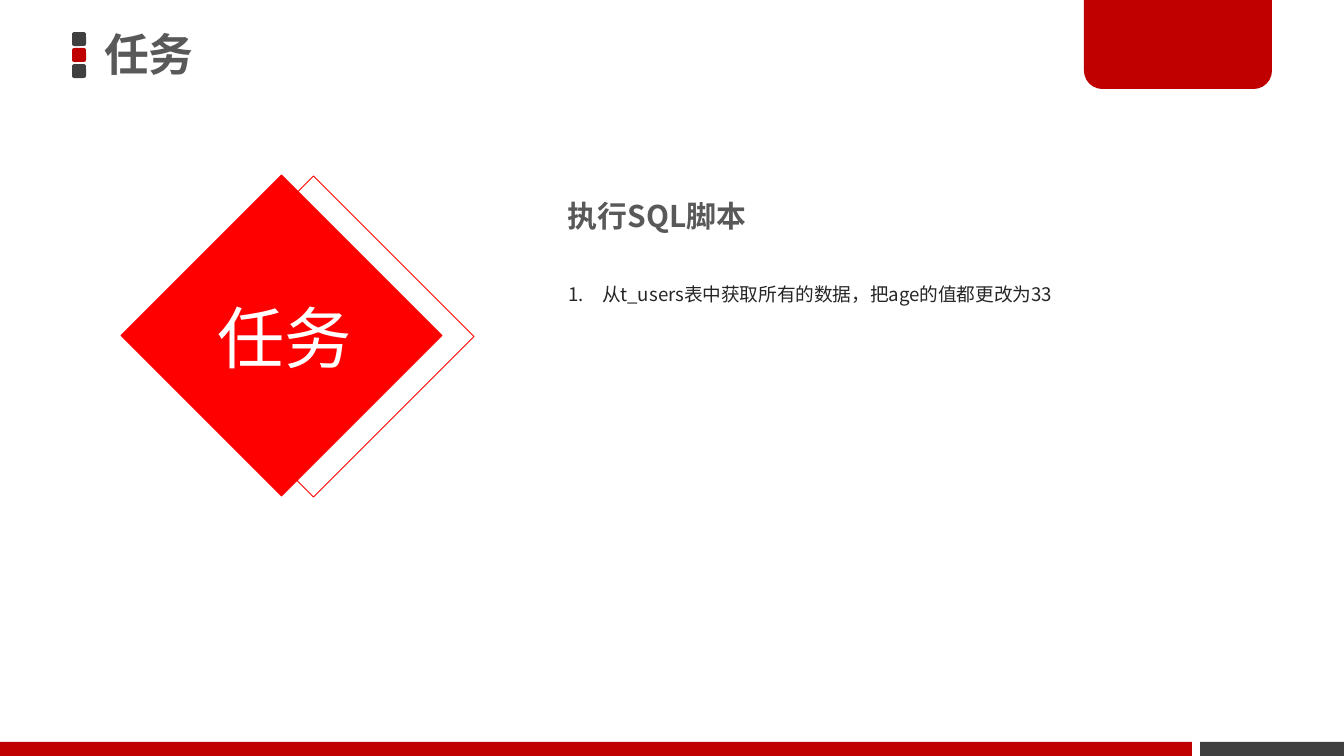
from lxml.etree import SubElement
from pptx import Presentation
from pptx.dml.color import RGBColor as RGB
from pptx.enum.shapes import MSO_SHAPE as Kind
from pptx.enum.text import MSO_ANCHOR as Anchor, MSO_AUTO_SIZE as Fit, PP_ALIGN as Align
from pptx.oxml.ns import qn
from pptx.util import Pt

THEME = {
    "font": "Noto Sans CJK SC",
    "red": RGB(192, 0, 0),
    "bright": RGB(255, 0, 0),
    "dark": RGB(64, 64, 64),
    "head": RGB(89, 89, 89),
    "ink": RGB(38, 38, 38),
    "white": RGB(255, 255, 255),
    "title": 24,
    "label": 36,
    "sub": 16,
    "list": 10,
}
PX = 914400 / 134.4


def draw(kind, box, fill=None, line=None):
    shape = slide.shapes.add_shape(kind, *[round(v * PX) for v in box])
    shape.shadow.inherit = False
    if fill:
        shape.fill.solid()
        shape.fill.fore_color.rgb = THEME[fill]
    else:
        shape.fill.background()
    if line:
        shape.line.color.rgb = THEME[line]
        shape.line.width = Pt(0.5)
    else:
        shape.line.fill.background()
    return shape


def write(shape, box, text, size, color, bold=False, align=Align.LEFT, space=1.0, mid=False):
    shape.left, shape.top, shape.width, shape.height = [round(v * PX) for v in box]
    frame = shape.text_frame
    frame.word_wrap = True
    frame.auto_size = Fit.NONE if mid else Fit.SHAPE_TO_FIT_TEXT
    frame.vertical_anchor = Anchor.MIDDLE if mid else Anchor.TOP
    frame.margin_left = frame.margin_right = round((11 if mid else 13) * PX)
    frame.margin_top = frame.margin_bottom = round((5 if mid else 7) * PX)
    frame.text = text
    para = frame.paragraphs[0]
    para.alignment = align
    para.line_spacing = space
    para.space_before = Pt(0)
    run = para.runs[0]
    run.font.size = Pt(THEME[size])
    run.font.bold = bold
    run.font.color.rgb = THEME[color]
    run.font.name = THEME["font"]
    SubElement(run.font._element, qn("a:ea"), typeface=THEME["font"])
    return para


deck = Presentation()
deck.slide_width = round(1344 * PX)
deck.slide_height = round(756 * PX)
slide = deck.slides.add_slide(deck.slide_layouts[1])
title, body = slide.placeholders

for row, color in enumerate(("dark", "red", "dark")):
    draw(Kind.ROUNDED_RECTANGLE, (72, 32 + 16 * row, 14, 14), color)

draw(Kind.RECTANGLE, (1200, 742, 144, 14), "dark")
draw(Kind.RECTANGLE, (0, 742, 1192, 14), "red")
tab = draw(Kind.ROUND_2_SAME_RECTANGLE, (1084, -3, 188, 92), "red")
tab.adjustments[0] = 0
tab.adjustments[1] = 0.2

for left, top, fill in ((200, 223, None), (168, 222, "bright")):
    draw(Kind.RECTANGLE, (left, top, 227, 227), fill, "bright").rotation = 45

label = slide.shapes.add_textbox(0, 0, 0, 0)
write(label, (3, 282, 563, 120), "任务", "label", "white", align=Align.CENTER, space=0.9, mid=True)
write(title, (93, -3, 579, 120), "任务", "title", "head", bold=True, space=0.9, mid=True)
sub = slide.shapes.add_textbox(0, 0, 0, 0)
write(sub, (555, 191, 519, 50), "执行SQL脚本", "sub", "head", bold=True)

item = write(body, (555, 242, 751, 70), "从t_users表中获取所有的数据，把age的值都更改为33", "list", "ink", space=2.5)
props = item._p.get_or_add_pPr()
props.set("marL", str(round(34 * PX)))
props.set("indent", str(round(-34 * PX)))
tint = SubElement(props, qn("a:buClr"))
SubElement(tint, qn("a:srgbClr"), val=str(THEME["ink"]))
SubElement(props, qn("a:buFont"), typeface=THEME["font"])
SubElement(props, qn("a:buAutoNum"), type="arabicPeriod")

deck.save("out.pptx")
